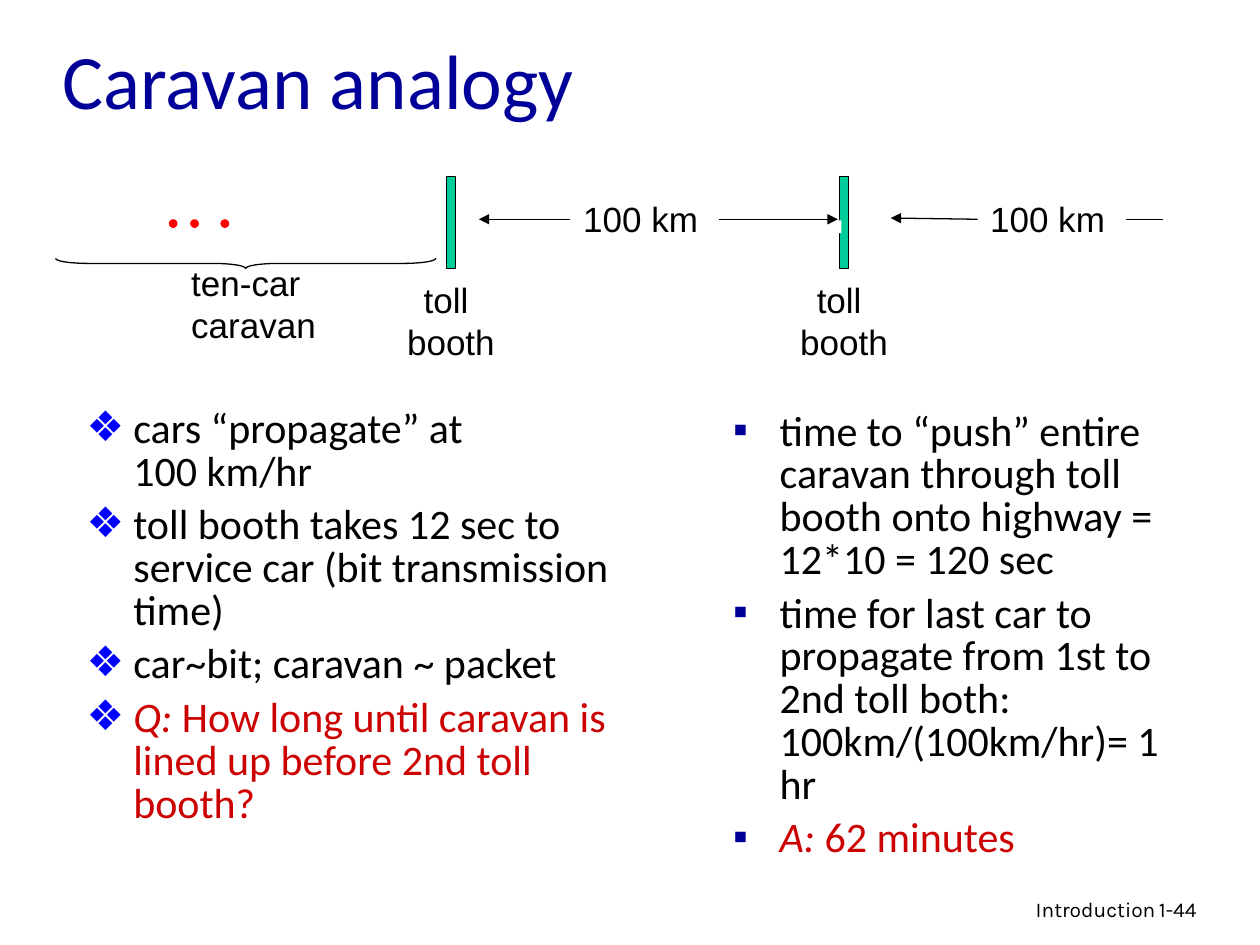
from dataclasses import dataclass

from lxml.etree import SubElement
from pptx import Presentation
from pptx.dml.color import RGBColor
from pptx.enum.shapes import MSO_CONNECTOR, MSO_SHAPE
from pptx.enum.text import MSO_ANCHOR, MSO_AUTO_SIZE, PP_ALIGN
from pptx.oxml.ns import qn
from pptx.util import Pt

COLORS = {
    "title": "000099", "text": "000000", "accent": "CC0000",
    "diamond": "0000FF", "booth": "00CC99", "car": "FF0000", "white": "FFFFFF",
}


@dataclass
class Label:
    text: str
    box: tuple[float, float, float, float]
    size: float = 20
    font: str = "Arial"
    color: str = "text"
    align: PP_ALIGN = PP_ALIGN.LEFT
    anchor: MSO_ANCHOR = MSO_ANCHOR.TOP
    wrap: bool = True


@dataclass
class Bullet:
    text: str
    lead: str = ""
    color: str = "text"


@dataclass
class BulletList:
    box: tuple[float, float, float, float]
    mark: str
    mark_color: str
    items: list[Bullet]


@dataclass
class Road:
    start: tuple[float, float]
    end: tuple[float, float]
    arrow: bool = True


def rgb(name: str) -> RGBColor:
    return RGBColor.from_string(COLORS[name])


def add_run(p, text: str, size: float, font: str, color: str, italic: bool = False) -> None:
    r = p.add_run()
    r.text = text
    r.font.size = Pt(size)
    r.font.name = font
    r.font.italic = italic
    r.font.color.rgb = rgb(color)


def add_frame(s, box: tuple, wrap: bool = True):
    tf = s.shapes.add_textbox(*map(Pt, box)).text_frame
    tf.word_wrap = wrap
    if not wrap:
        tf.auto_size = MSO_AUTO_SIZE.SHAPE_TO_FIT_TEXT
    return tf


def next_paragraph(tf, index: int):
    return tf.add_paragraph() if index else tf.paragraphs[0]


def draw_label(s, label: Label) -> None:
    tf = add_frame(s, label.box, label.wrap)
    tf.vertical_anchor = label.anchor
    for i, line in enumerate(label.text.split("\n")):
        p = next_paragraph(tf, i)
        p.alignment = label.align
        add_run(p, line, label.size, label.font, label.color)


def set_bullet(p, mark: str, color: str) -> None:
    pPr = p._p.get_or_add_pPr()
    pPr.set("marL", str(Pt(26.64)))
    pPr.set("indent", str(Pt(-26.64)))
    clr = SubElement(pPr, qn("a:buClr"))
    SubElement(clr, qn("a:srgbClr")).set("val", COLORS[color])
    SubElement(pPr, qn("a:buFont")).set("typeface", "Arial")
    SubElement(pPr, qn("a:buChar")).set("char", mark)


def draw_bullets(s, block: BulletList) -> None:
    tf = add_frame(s, block.box)
    for i, item in enumerate(block.items):
        p = next_paragraph(tf, i)
        p.line_spacing = 0.85
        p.space_before = Pt(6)
        set_bullet(p, block.mark, block.mark_color)
        if item.lead:
            add_run(p, item.lead, 24, "Calibri", item.color, italic=True)
        for j, line in enumerate(item.text.split("\n")):
            if j:
                p.add_line_break()
            add_run(p, line, 24, "Calibri", item.color)


def draw_shape(s, kind: MSO_SHAPE, box: tuple, fill: str = "", line: str = ""):
    sp = s.shapes.add_shape(kind, *map(Pt, box))
    sp.shadow.inherit = False
    if fill:
        sp.fill.solid()
        sp.fill.fore_color.rgb = rgb(fill)
    else:
        sp.fill.background()
    if line:
        sp.line.color.rgb = rgb(line)
        sp.line.width = Pt(0.75)
    else:
        sp.line.fill.background()
    return sp


def draw_road(s, road: Road) -> None:
    cn = s.shapes.add_connector(MSO_CONNECTOR.STRAIGHT, *map(Pt, road.start + road.end))
    cn.line.color.rgb = rgb("text")
    cn.line.width = Pt(0.75)
    spPr = cn._element.spPr
    if road.arrow:
        SubElement(spPr.get_or_add_ln(), qn("a:tailEnd")).set("type", "triangle")
    SubElement(spPr, qn("a:effectLst"))


def main() -> None:
    prs = Presentation()
    prs.slide_width, prs.slide_height = Pt(720), Pt(540)
    s = prs.slides.add_slide(prs.slide_layouts[6])

    # Title and footer
    draw_label(s, Label("Caravan analogy", (28.8, 0, 612, 90), 44, "Calibri", "title",
                        anchor=MSO_ANCHOR.MIDDLE))
    draw_label(s, Label("Introduction", (439.2, 509, 228.2, 22.3), 12, "Karla",
                        align=PP_ALIGN.RIGHT))
    draw_label(s, Label("1-44", (655.2, 509, 53.3, 21.6), 12, "Karla"))

    # Assumptions and answer
    draw_bullets(s, BulletList((42.5, 230.4, 332, 261.4), "❖", "diamond", [
        Bullet("cars “propagate” at \n100 km/hr"),
        Bullet("toll booth takes 12 sec to service car (bit transmission time)"),
        Bullet("car~bit; caravan ~ packet"),
        Bullet(" How long until caravan is lined up before 2nd toll booth?", "Q:", "accent"),
    ]))
    draw_bullets(s, BulletList((411.8, 231.8, 277.2, 265), "▪", "title", [
        Bullet("time to “push” entire caravan through toll booth onto highway = "
               "12*10 = 120 sec"),
        Bullet("time for last car to propagate from 1st to 2nd toll both: "
               "100km/(100km/hr)= 1 hr"),
        Bullet(" 62 minutes", "A:", "accent"),
    ]))

    # Toll booths
    for x in (255.2, 479.8):
        draw_shape(s, MSO_SHAPE.RECTANGLE, (x, 100.8, 5, 52.6), "booth", "text")
        draw_label(s, Label("toll \nbooth", (x - 32.5, 155.5, 70, 55.4),
                            align=PP_ALIGN.CENTER, wrap=False))

    # Caravan: brace, caption and cars
    brace = draw_shape(s, MSO_SHAPE.LEFT_BRACE, (137.5, 41.8, 5.8, 217.4), line="text")
    brace.rotation = 270
    brace.adjustments[0] = 3.2
    draw_label(s, Label("ten-car\ncaravan", (102.2, 146, 90, 55.4), wrap=False))
    for x in (96.5, 108.7, 126):
        draw_shape(s, MSO_SHAPE.OVAL, (x, 125.3, 5, 5), "car")

    # Gap in the second booth
    draw_shape(s, MSO_SHAPE.RECTANGLE, (468.7, 126, 12.2, 7.2), "white")

    # Road distances
    for x in (326.2, 558.7):
        draw_label(s, Label("100 km", (x, 109.4, 84.2, 31.7)))
    for road in (
        Road((325.8, 125.3), (273.6, 125.3)),
        Road((411.1, 125.3), (478.8, 125.3)),
        Road((558.7, 125.3), (509, 124.6)),
        Road((643.7, 125.3), (664.6, 125.3), arrow=False),
    ):
        draw_road(s, road)

    prs.save("out.pptx")


if __name__ == "__main__":
    main()
